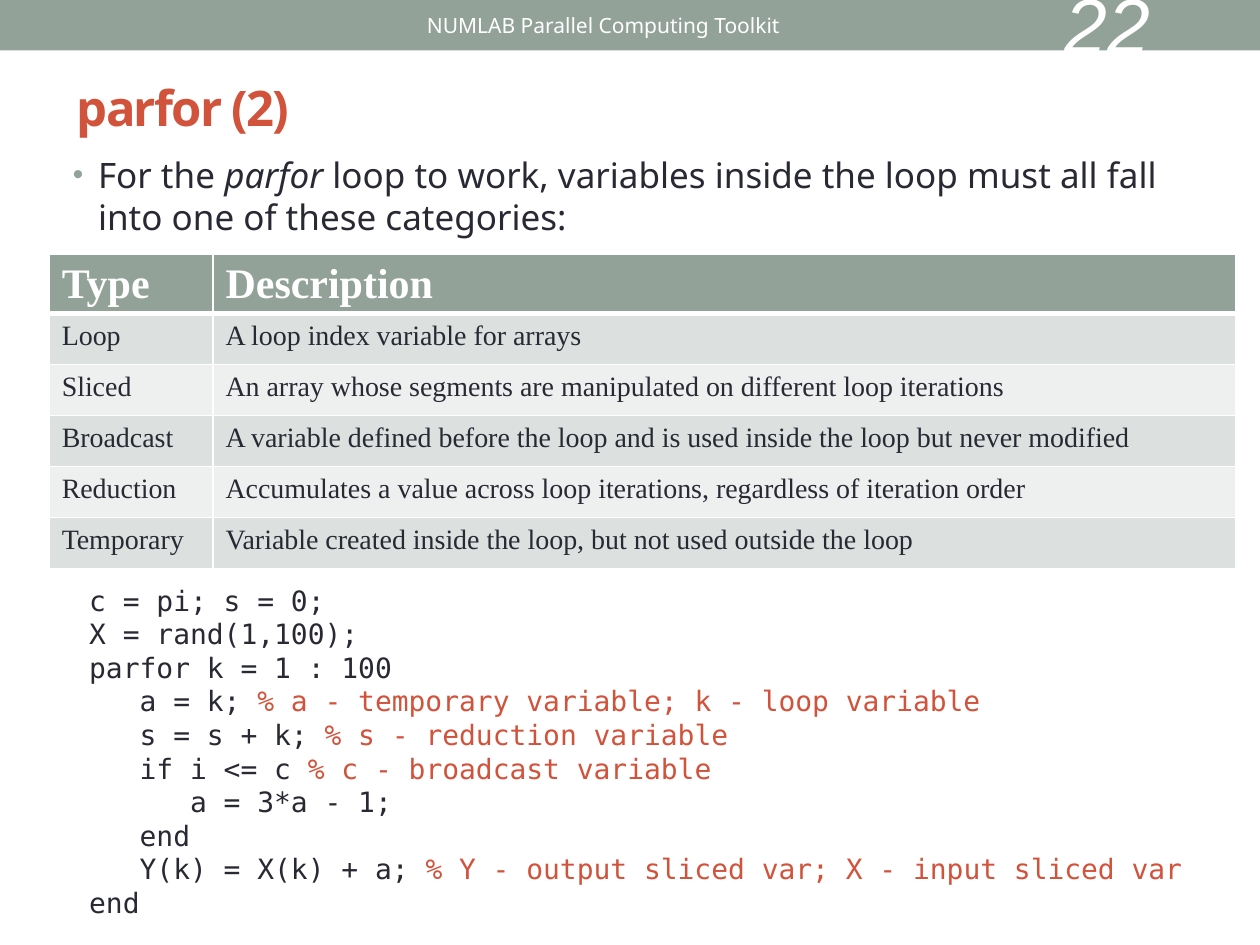
"""Build the parfor slide with its table of variable types and sample code."""
from dataclasses import dataclass

from lxml import etree
from pptx import Presentation
from pptx.dml.color import RGBColor
from pptx.enum.shapes import MSO_SHAPE
from pptx.enum.text import MSO_ANCHOR, MSO_AUTO_SIZE, PP_ALIGN
from pptx.oxml.ns import qn
from pptx.util import Inches, Pt

RECT = MSO_SHAPE.RECTANGLE
MIDDLE = MSO_ANCHOR.MIDDLE
LEFT, CENTER = PP_ALIGN.LEFT, PP_ALIGN.CENTER
GROW, FIXED = MSO_AUTO_SIZE.SHAPE_TO_FIT_TEXT, MSO_AUTO_SIZE.NONE


@dataclass(frozen=True)
class Theme:
    sage: str = "93A299"
    red: str = "D2533C"
    ink: str = "292934"
    white: str = "FFFFFF"
    bands: tuple = ("EEF0EF", "DCE0DE")
    sans: str = "Noto Sans"
    serif: str = "Times New Roman"
    mono: str = "DejaVu Sans Mono"
    arial: str = "Arial"
    title: int = 28
    page: int = 44
    body: int = 20
    head: int = 24
    text: int = 16
    note: int = 12


T = Theme()


def add_run(para, text, face, size, color, bold=False, slant=False):
    run = para.add_run()
    run.text = text
    font = run.font
    font.name, font.size, font.bold, font.italic = face, Pt(size), bold, slant
    font.color.rgb = RGBColor.from_string(color)
    return run


def add_box(slide, left, top, width, height, anchor=None):
    box = slide.shapes.add_textbox(
        Inches(left), Inches(top), Inches(width), Inches(height))
    frame = box.text_frame
    frame.word_wrap = True
    frame.vertical_anchor = anchor
    return frame


deck = Presentation()
deck.slide_width, deck.slide_height = Inches(10), Inches(7.5)
slide = deck.slides.add_slide(deck.slide_layouts[5])

bar = slide.shapes.add_shape(RECT, 0, 0, Inches(10), Inches(0.4))
bar.shadow.inherit = False
bar.fill.solid()
bar.fill.fore_color.rgb = RGBColor.from_string(T.sage)
bar.line.fill.background()

title = slide.shapes.title
title.left, title.top = Inches(0.51), Inches(0.44)
title.width, title.height = Inches(8.53), Inches(0.81)
frame = title.text_frame
frame.vertical_anchor, frame.auto_size = MIDDLE, FIXED
para = frame.paragraphs[0]
para.alignment = LEFT
run = add_run(para, "parfor (2)", T.sans, T.title, T.red, bold=True)
run.font._element.set("spc", "-100")

para = add_box(slide, 2.54, 0.02, 4.5, 0.36, MIDDLE).paragraphs[0]
para.alignment = CENTER
add_run(para, "NUMLAB Parallel Computing Toolkit", T.sans, T.note, T.white)

para = add_box(slide, 8.35, 0, 1.17, 0.36, MIDDLE).paragraphs[0]
add_run(para, "22", T.arial, T.page, T.white, slant=True)

para = add_box(slide, 0.48, 1.17, 9, 5.33).paragraphs[0]
para.space_before = Pt(4)
props = para._p.get_or_add_pPr()
props.set("marL", str(Inches(0.2)))
props.set("indent", str(Inches(-0.2)))
tint = etree.SubElement(props, qn("a:buClr"))
etree.SubElement(tint, qn("a:srgbClr"), val=T.sage)
etree.SubElement(props, qn("a:buSzPct"), val="85000")
etree.SubElement(props, qn("a:buFont"), typeface=T.arial)
etree.SubElement(props, qn("a:buChar"), char="•")
for text, slant in (
    ("For the ", False),
    ("parfor ", True),
    ("loop to work, variables inside the loop must all fall "
     "into one of these categories:", False),
):
    add_run(para, text, T.sans, T.body, T.ink, slant=slant)

rows = (
    ("Type", "Description"),
    ("Loop", "A loop index variable for arrays"),
    ("Sliced", "An array whose segments are manipulated on different "
               "loop iterations"),
    ("Broadcast", "A variable defined before the loop and is used inside "
                  "the loop but never modified"),
    ("Reduction", "Accumulates a value across loop iterations, regardless "
                  "of iteration order"),
    ("Temporary", "Variable created inside the loop, but not used outside "
                  "the loop"),
)
thick = ((0, "B"), (1, "T"))
table = slide.shapes.add_table(
    len(rows), 2, Inches(0.39), Inches(2.02), Inches(9.42),
    Inches(2.43)).table
table.columns[0].width, table.columns[1].width = Inches(1.3), Inches(8.12)
for r, row in enumerate(rows):
    head = r == 0
    for c, text in enumerate(row):
        cell = table.cell(r, c)
        if head:
            cell.margin_bottom = Inches(0.02)
        props = cell._tc.get_or_add_tcPr()
        for side in "LRTB":
            wide = Pt(3 if (r, side) in thick else 1)
            line = etree.SubElement(props, qn("a:ln" + side), w=str(wide))
            fill = etree.SubElement(line, qn("a:solidFill"))
            etree.SubElement(fill, qn("a:srgbClr"), val=T.white)
        cell.fill.solid()
        shade = T.sage if head else T.bands[r % 2]
        cell.fill.fore_color.rgb = RGBColor.from_string(shade)
        add_run(cell.text_frame.paragraphs[0], text, T.serif,
                T.head if head else T.text,
                T.white if head else T.ink, bold=head)

code = (
    ("c = pi; s = 0;", ""),
    ("X = rand(1,100);", ""),
    ("parfor k = 1 : 100", ""),
    ("   a = k; ", "% a - temporary variable; k - loop variable"),
    ("   s = s + k; ", "% s - reduction variable"),
    ("   if i <= c ", "% c - broadcast variable"),
    ("      a = 3*a - 1;", ""),
    ("   end", ""),
    ("   Y(k) = X(k) + a; ", "% Y - output sliced var; X - input sliced var"),
    ("end", ""),
)
frame = add_box(slide, 0.61, 4.58, 8.98, 2.79)
frame.word_wrap, frame.auto_size = False, GROW
for i, (text, note) in enumerate(code):
    para = frame.add_paragraph() if i else frame.paragraphs[0]
    add_run(para, text, T.mono, T.text, T.ink)
    if note:
        add_run(para, note, T.mono, T.text, T.red)

deck.save("out.pptx")
